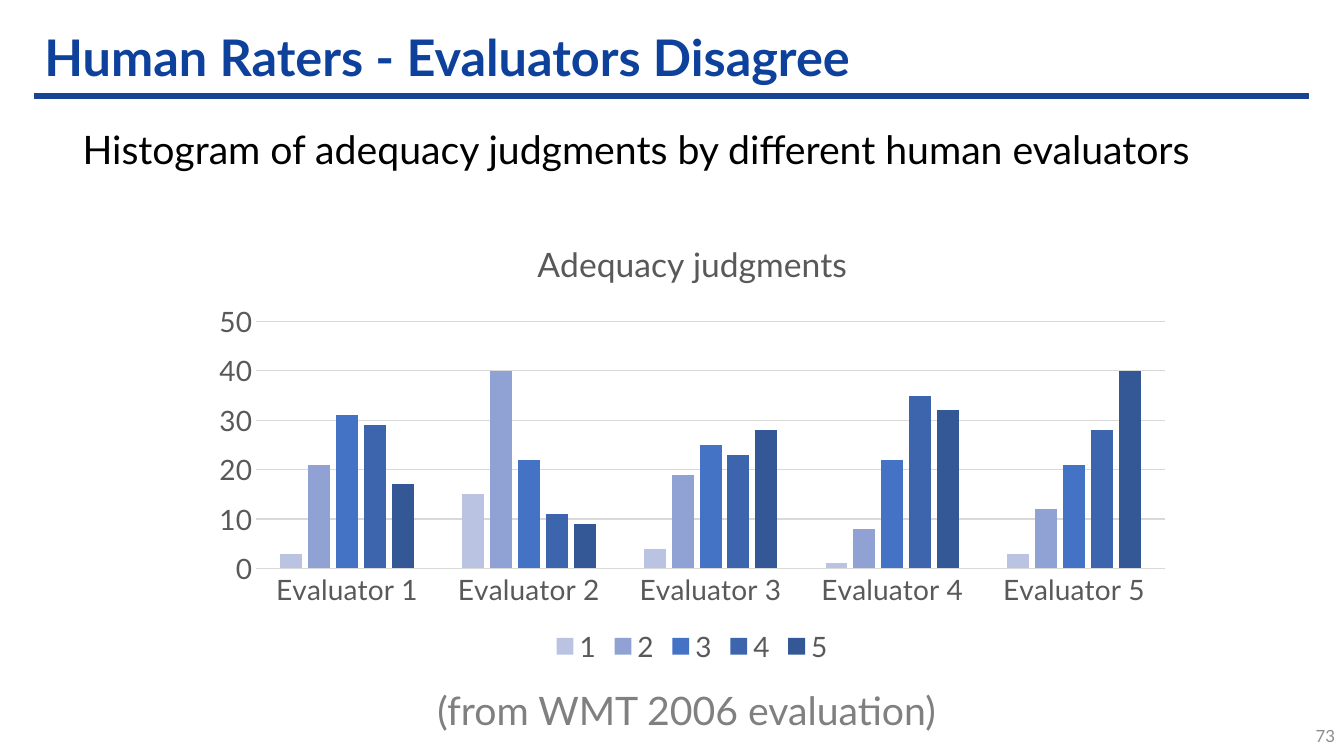
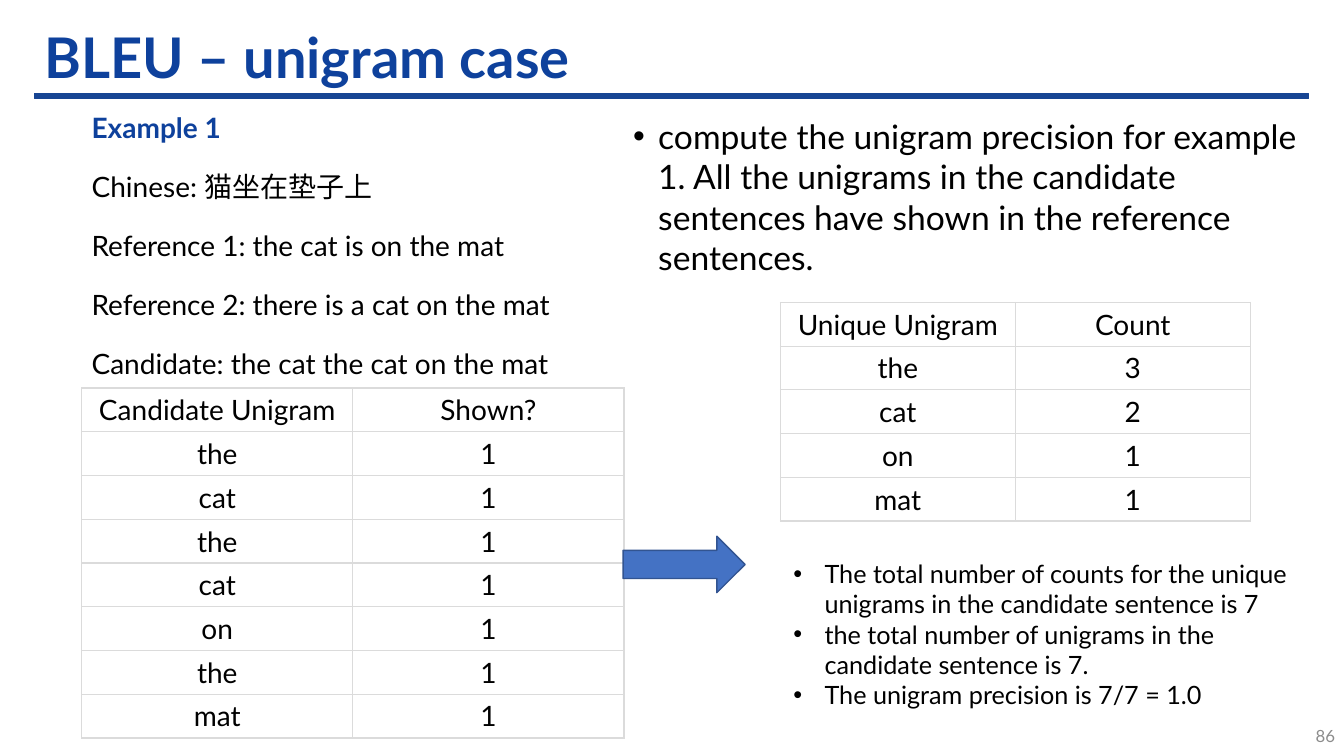
from dataclasses import dataclass

from lxml import etree
from pptx import Presentation
from pptx.chart.data import CategoryChartData
from pptx.dml.color import RGBColor
from pptx.enum.chart import XL_CHART_TYPE, XL_LEGEND_POSITION, XL_TICK_MARK
from pptx.enum.shapes import MSO_SHAPE
from pptx.enum.text import MSO_ANCHOR, PP_ALIGN
from pptx.oxml.ns import qn
from pptx.util import Inches, Pt

LEFT, CENTER, RIGHT = PP_ALIGN.LEFT, PP_ALIGN.CENTER, PP_ALIGN.RIGHT
TOP, MIDDLE = MSO_ANCHOR.TOP, MSO_ANCHOR.MIDDLE
RECT, ARROW = MSO_SHAPE.RECTANGLE, MSO_SHAPE.RIGHT_ARROW
COLUMNS = XL_CHART_TYPE.COLUMN_CLUSTERED
BOTTOM = XL_LEGEND_POSITION.BOTTOM
NO_TICK = XL_TICK_MARK.NONE


@dataclass(frozen=True)
class Theme:
    font: str = "Lato"
    title: str = "0E419C"
    band: str = "174593"
    text: str = "000000"
    soft: str = "808080"
    page: str = "8C8C8C"
    label: str = "595959"
    grid: str = "D9D9D9"
    border: str = "DBDBDB"
    paper: str = "FFFFFF"
    arrow: str = "4472C4"
    edge: str = "325491"
    bars: tuple = ("BAC4E2", "90A2D3", "4472C4", "3C65AE", "345795")
    lead: int = 28
    large: int = 24
    body: int = 20
    small: int = 18
    tiny: int = 12


THEME = Theme()


def color(code):
    return RGBColor.from_string(code)


def place(box):
    return [Inches(v) for v in box]


def style(font, size, code, bold=False):
    font.name = THEME.font
    font.size = Pt(size)
    font.bold = bold
    font.color.rgb = color(code)


def bullet(para, indent):
    props = para._p.get_or_add_pPr()
    props.set("marL", str(Inches(indent)))
    props.set("indent", str(-Inches(indent)))
    etree.SubElement(props, qn("a:buFont"), typeface="Arial")
    etree.SubElement(props, qn("a:buChar"), char="•")


def add_text(slide, box, lines, size, code=THEME.text, align=LEFT,
             anchor=TOP, indent=0, after=0, spacing=1.0):
    frame = slide.shapes.add_textbox(*place(box)).text_frame
    frame.word_wrap = True
    frame.vertical_anchor = anchor
    frame.text = "\n".join(lines)
    for para in frame.paragraphs:
        if indent:
            bullet(para, indent)
        para.alignment = align
        para.line_spacing = spacing
        para.space_after = Pt(after)
        for run in para.runs:
            style(run.font, size, code)
    return frame


def add_block(slide, kind, box, fill, line):
    shape = slide.shapes.add_shape(kind, *place(box))
    shape.shadow.inherit = False
    shape.fill.solid()
    shape.fill.fore_color.rgb = color(fill)
    shape.line.color.rgb = color(line)
    shape.line.width = Pt(1)


def add_slide(deck, title, size, number):
    slide = deck.slides.add_slide(deck.slide_layouts[5])
    add_block(slide, RECT, (0.34, 0.93, 12.64, 0.05), THEME.band, THEME.band)
    # Title
    head = slide.shapes.title
    head.left, head.top, head.width, head.height = place(
        (0.34, 0.26, 12.64, 0.67))
    frame = head.text_frame
    frame.text = title
    frame.vertical_anchor = MIDDLE
    para = frame.paragraphs[0]
    para.alignment = LEFT
    para.line_spacing = 0.9
    style(para.runs[0].font, size, THEME.title, True)
    # Page number
    add_text(slide, (12.67, 7.1, 0.67, 0.4), [str(number)], THEME.tiny,
             THEME.page, RIGHT, MIDDLE)
    return slide


def add_border(cell):
    props = cell._tc.get_or_add_tcPr()
    for side in ("lnL", "lnR", "lnT", "lnB"):
        line = etree.SubElement(props, qn(f"a:{side}"), w=str(Pt(1)))
        fill = etree.SubElement(line, qn("a:solidFill"))
        etree.SubElement(fill, qn("a:srgbClr"), val=THEME.border)


def add_grid(slide, box, rows):
    table = slide.shapes.add_table(len(rows), len(rows[0]), *place(box)).table
    table.first_row = table.horz_banding = False
    for r, row in enumerate(rows):
        for c, word in enumerate(row):
            cell = table.cell(r, c)
            add_border(cell)
            cell.fill.solid()
            cell.fill.fore_color.rgb = color(THEME.paper)
            cell.text_frame.text = word
            para = cell.text_frame.paragraphs[0]
            para.alignment = CENTER
            style(para.runs[0].font, THEME.body, THEME.text)


def add_columns(slide, box, title, names, series):
    data = CategoryChartData()
    data.categories = names
    for name, values in series.items():
        data.add_series(name, values)
    chart = slide.shapes.add_chart(COLUMNS, *place(box), data).chart
    style(chart.font, THEME.body, THEME.label)
    # Title and legend
    chart.has_title = True
    frame = chart.chart_title.text_frame
    frame.text = title
    style(frame.paragraphs[0].runs[0].font, THEME.large, THEME.label)
    chart.chart_title.include_in_layout = False
    chart.has_legend = True
    chart.legend.position = BOTTOM
    chart.legend.include_in_layout = False
    style(chart.legend.font, THEME.body, THEME.label)
    # Axes
    scale = chart.value_axis
    scale.minimum_scale, scale.maximum_scale, scale.major_unit = 0, 50, 10
    for axis in (chart.category_axis, scale):
        axis.major_tick_mark = axis.minor_tick_mark = NO_TICK
        style(axis.tick_labels.font, THEME.body, THEME.label)
    scale.format.line.fill.background()
    for part in (chart.category_axis, scale.major_gridlines):
        part.format.line.color.rgb = color(THEME.grid)
        part.format.line.width = Pt(0.75)
    # Bars
    plot = chart.plots[0]
    plot.vary_by_categories = False
    plot.gap_width, plot.overlap = 219, -27
    for bar, code in zip(plot.series, THEME.bars):
        bar.format.fill.solid()
        bar.format.fill.fore_color.rgb = color(code)


def build_raters(deck):
    slide = add_slide(deck, "Human Raters - Evaluators Disagree", 36, 73)
    names = [f"Evaluator {n}" for n in range(1, 6)]
    series = {
        "1": (3, 15, 4, 1, 3),
        "2": (21, 40, 19, 8, 12),
        "3": (31, 22, 25, 22, 21),
        "4": (29, 11, 23, 35, 28),
        "5": (17, 9, 28, 32, 40),
    }
    add_columns(slide, (1.98, 2.18, 9.77, 4.46), "Adequacy judgments",
                names, series)
    add_text(slide, (0.72, 1.25, 11.95, 0.77),
             ["Histogram of adequacy judgments by different human evaluators"],
             THEME.lead, spacing=0.9)
    add_text(slide, (4.24, 6.76, 5.28, 0.57), ["(from WMT 2006 evaluation)"],
             THEME.lead, THEME.soft)


def build_bleu(deck):
    slide = add_slide(deck, "BLEU – unigram case", 40, 86)
    add_text(slide, (6.18, 1.1, 6.82, 1.75),
             ["compute the unigram precision for example 1. All the unigrams "
              "in the candidate sentences have shown in the reference "
              "sentences."],
             THEME.large, indent=0.25, after=18)
    # Example sentences
    frame = add_text(slide, (0.81, 1.05, 5.38, 2.79),
                     ["Example 1",
                      "Chinese: 猫坐在垫子上",
                      "Reference 1: the cat is on the mat",
                      "Reference 2: there is a cat on the mat",
                      "Candidate: the cat the cat on the mat"],
                     THEME.body, after=18)
    style(frame.paragraphs[0].runs[0].font, THEME.body, THEME.title, True)
    # Unigram tables
    words = "the cat the cat on the mat".split()
    shown = [("Candidate Unigram", "Shown?")] + [(w, "1") for w in words]
    counts = [("Unique Unigram", "Count")]
    counts += [(w, str(words.count(w))) for w in dict.fromkeys(words)]
    add_grid(slide, (0.81, 3.85, 5.38, 3.47), shown)
    add_grid(slide, (7.74, 3, 4.66, 2.17), counts)
    add_block(slide, ARROW, (6.18, 5.32, 1.21, 0.56), THEME.arrow, THEME.edge)
    # Result
    add_text(slide, (7.77, 5.49, 5.18, 1.62),
             ["The total number of counts for the unique unigrams in the "
              "candidate sentence is 7",
              "the total number of unigrams in the candidate sentence is 7.",
              "The unigram precision is 7/7 = 1.0"],
             THEME.small, indent=0.31)


def main():
    deck = Presentation()
    deck.slide_width, deck.slide_height = Inches(13.33), Inches(7.5)
    build_raters(deck)
    build_bleu(deck)
    deck.save("out.pptx")


if __name__ == "__main__":
    main()
